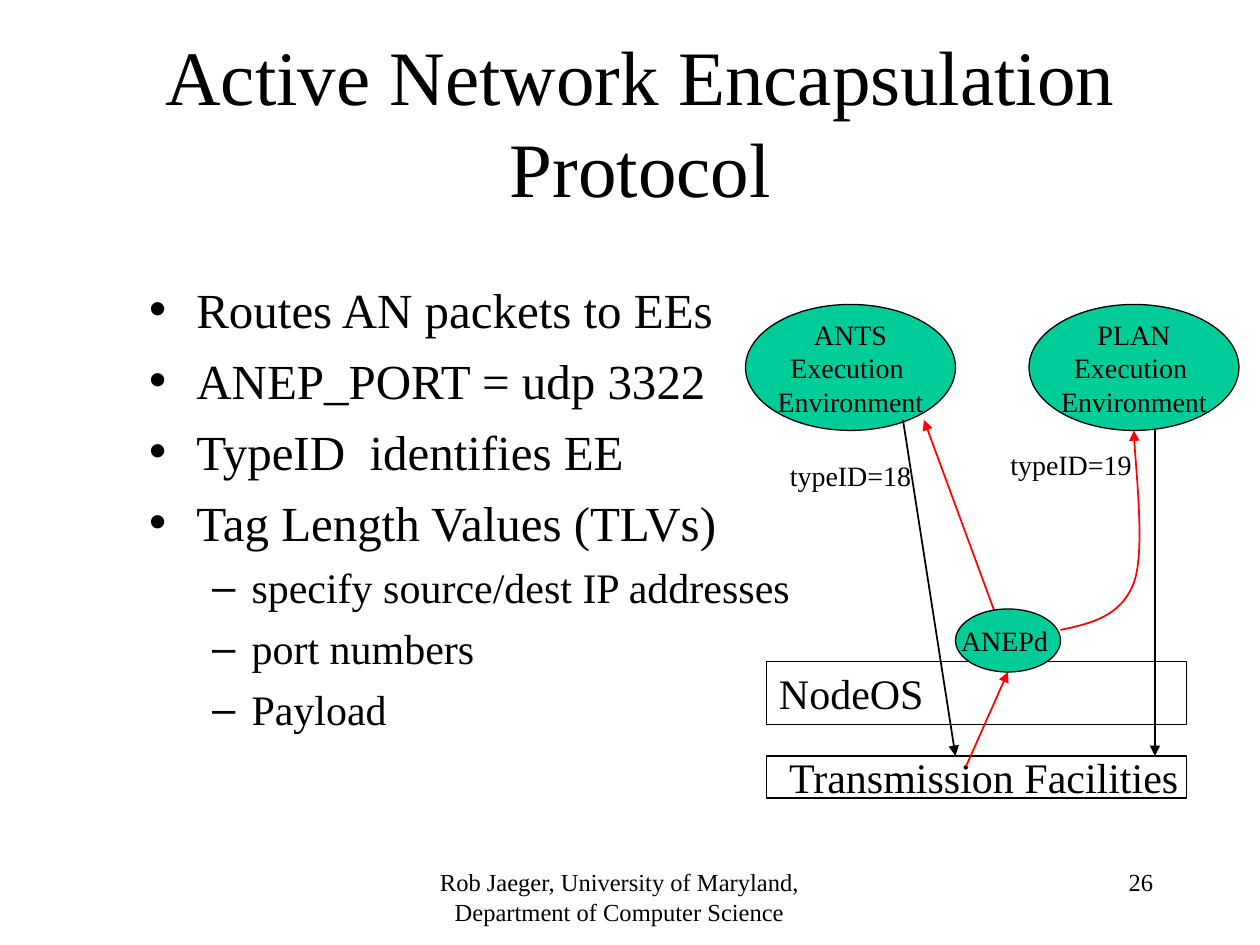
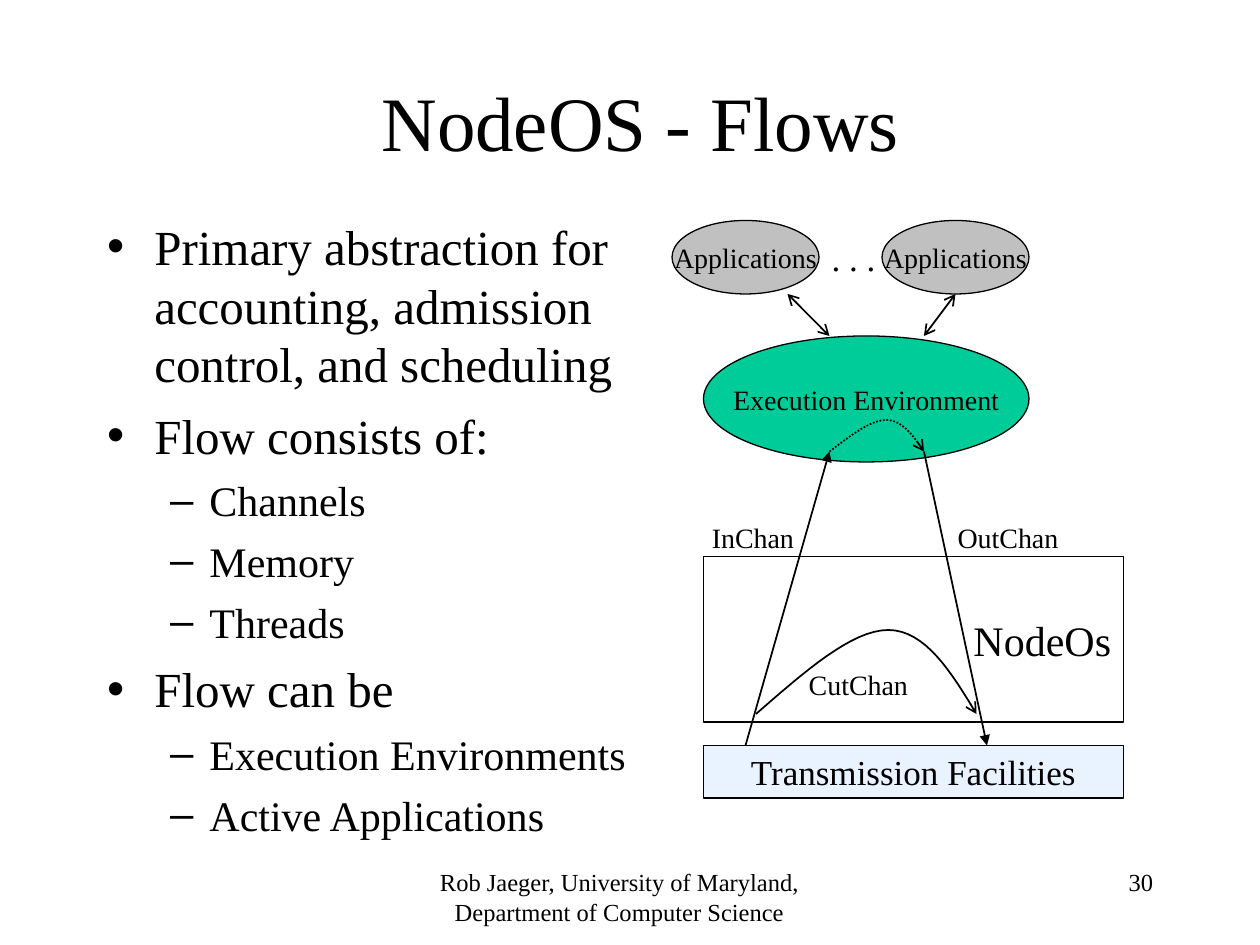
from pptx import Presentation
from pptx.dml.color import RGBColor
from pptx.enum.dml import MSO_LINE
from pptx.enum.shapes import MSO_CONNECTOR, MSO_SHAPE
from pptx.enum.text import MSO_ANCHOR, MSO_AUTO_SIZE, PP_ALIGN
from pptx.oxml.ns import qn
from pptx.util import Inches, Pt
from lxml.etree import SubElement

BLACK = RGBColor(0x00, 0x00, 0x00)
RED = RGBColor(0xFF, 0x00, 0x00)
GREEN = RGBColor(0x00, 0xCC, 0x99)
GREY = RGBColor(0xC0, 0xC0, 0xC0)
PALE_BLUE = RGBColor(0xE9, 0xF2, 0xFF)
FONT = "Times New Roman"
FOOTER = "Rob Jaeger, University of Maryland, Department of Computer Science"
RECT, OVAL = MSO_SHAPE.RECTANGLE, MSO_SHAPE.OVAL
LEFT, CENTER, RIGHT = PP_ALIGN.LEFT, PP_ALIGN.CENTER, PP_ALIGN.RIGHT

deck = Presentation()
deck.slide_width, deck.slide_height = Inches(10), Inches(7.5)
CELL = deck.slide_width / 120


def add_box(page, kind, text, cells, size=16, fill=None, align=CENTER,
            anchor=MSO_ANCHOR.MIDDLE, wrap=False):
    place = [round(cell * CELL) for cell in cells]
    if kind is None:
        box = page.shapes.add_textbox(*place)
    else:
        box = page.shapes.add_shape(kind, *place)
        box.shadow.inherit = False
        box.line.color.rgb = BLACK
        box.line.width = Pt(0.75 if kind == OVAL else 1)
        if fill is None:
            box.fill.background()
        else:
            box.fill.solid()
            box.fill.fore_color.rgb = fill
    frame = box.text_frame
    frame.text = text
    frame.word_wrap = wrap
    frame.vertical_anchor = anchor
    for para in frame.paragraphs:
        para.alignment = align
        for span in para.runs:
            span.font.size = Pt(size)
    return box


def add_arrow(page, cells, color=BLACK, tail="triangle", head=None, dash=None):
    points = [(x * CELL, y * CELL) for x, y in cells]
    if len(points) == 2:
        ends = [round(value) for point in points for value in point]
        arrow = page.shapes.add_connector(MSO_CONNECTOR.STRAIGHT, *ends)
    else:
        curve = []
        for first in range(0, len(points) - 1, 3):
            for step in range(1, 17):
                t = step / 16
                weights = ((1 - t) ** 3, 3 * t * (1 - t) ** 2, 3 * t * t * (1 - t), t ** 3)
                controls = points[first:first + 4]
                curve.append(tuple(sum(w * p[axis] for w, p in zip(weights, controls))
                                   for axis in (0, 1)))
        builder = page.shapes.build_freeform(*points[0], scale=1.0)
        builder.add_line_segments(curve, close=False)
        arrow = builder.convert_to_shape()
        arrow.fill.background()
    arrow.line.color.rgb = color
    arrow.line.width = Pt(1)
    if dash is not None:
        arrow.line.dash_style = dash
    properties = arrow.element.spPr
    outline = properties.find(qn("a:ln"))
    for tag, style in (("a:headEnd", head), ("a:tailEnd", tail)):
        if style:
            SubElement(outline, qn(tag), type=style)
    SubElement(properties, qn("a:effectLst"))


outlines = [
    ("Active Network Encapsulation Protocol", "26", (13, 26, 68, 54), [
        (0, "Routes AN packets to EEs"),
        (0, "ANEP_PORT = udp 3322"),
        (0, "TypeID  identifies EE"),
        (0, "Tag Length Values (TLVs)"),
        (1, "specify source/dest IP addresses"),
        (1, "port numbers"),
        (1, "Payload")]),
    ("NodeOS - Flows", "30", (9, 20, 60, 61), [
        (0, "Primary abstraction for accounting, admission control, and scheduling"),
        (0, "Flow consists of:"),
        (1, "Channels"),
        (1, "Memory"),
        (1, "Threads"),
        (0, "Flow can be"),
        (1, "Execution Environments"),
        (1, "Active Applications")]),
]
for title, number, body_cells, bullets in outlines:
    page = deck.slides.add_slide(deck.slide_layouts[1])
    heading, body = page.placeholders
    for holder, cells in ((heading, (10, 4, 102, 15)), (body, body_cells)):
        holder.left, holder.top, holder.width, holder.height = [
            round(cell * CELL) for cell in cells]
        holder.text_frame.auto_size = MSO_AUTO_SIZE.NONE
    heading.text_frame.text = title
    heading.text_frame.vertical_anchor = MSO_ANCHOR.MIDDLE
    heading.text_frame.paragraphs[0].alignment = CENTER
    heading.text_frame.paragraphs[0].runs[0].font.size = Pt(44)
    body.text_frame.text = "\n".join(text for level, text in bullets)
    for row, (level, text) in enumerate(bullets):
        para = body.text_frame.paragraphs[row]
        para.level = level
        para.space_before = Pt((7, 6)[level] if row else 0)
        para.runs[0].font.size = Pt((28, 24)[level])
    for text, cells, align in ((FOOTER, (36, 82, 46, 6), CENTER),
                               (number, (86, 82, 25, 6), RIGHT)):
        add_box(page, None, text, cells, 14, align=align, anchor=MSO_ANCHOR.TOP, wrap=True)

protocol_page, flows_page = deck.slides

add_box(protocol_page, RECT, "NodeOS", (73, 63, 40, 6), 24, align=LEFT)
facilities = add_box(protocol_page, RECT, "Transmission Facilities", (73, 72, 40, 4), 24,
                     align=LEFT)
facilities.text_frame.margin_left = Inches(0.18)
for name, column in (("ANTS", 71), ("PLAN", 98)):
    add_box(protocol_page, OVAL, f"{name}\nExecution \nEnvironment", (column, 29, 20, 12),
            fill=GREEN)
add_box(protocol_page, None, "typeID=18", (73, 43.1, 16, 4.3))
add_box(protocol_page, None, "typeID=19", (94, 42.1, 16, 4.3))
for cells, color in (
        ([(95, 59), (88, 40)], RED),
        ([(86, 40), (91, 72)], BLACK),
        ([(110, 41), (110, 72)], BLACK),
        ([(92, 73), (96, 64)], RED),
        ([(101, 60), (103.9, 59.4), (106.8, 58.7), (108, 55.5),
          (109.2, 52.3), (108, 43.4), (108, 41)], RED)):
    add_arrow(protocol_page, cells, color)
add_box(protocol_page, OVAL, "ANEPd ", (91, 58, 10, 6), fill=GREEN)

add_box(flows_page, RECT, "NodeOs", (67, 53, 40, 15.8), 24, align=RIGHT)
add_box(flows_page, RECT, "Transmission Facilities", (67, 71, 40, 5), 20, PALE_BLUE)
add_box(flows_page, OVAL, "Execution Environment", (67, 32, 31, 12), fill=GREEN)
for column in (64, 84):
    add_box(flows_page, OVAL, "Applications", (column, 21, 14, 7), fill=GREY)
add_box(flows_page, None, ". . .", (78, 20, 6.6, 9.1), 20)
for label, cells in (("CutChan", (75.8, 63, 11.9, 4.3)),
                     ("OutChan", (90, 49, 12, 4.3)),
                     ("InChan", (66.6, 49, 10.2, 4.3))):
    add_box(flows_page, None, label, cells)
for cells in ([(71, 71), (79, 43)], [(88, 43), (94, 71)]):
    add_arrow(flows_page, cells)
for cells in ([(75, 28), (79, 32)], [(91, 28), (88, 32)]):
    add_arrow(flows_page, cells, tail="arrow", head="arrow")
add_arrow(flows_page, [(79, 43), (81, 41.5), (82.9, 40), (84.4, 40),
                       (85.9, 40), (87, 41.5), (88, 43)],
          tail="arrow", dash=MSO_LINE.ROUND_DOT)
add_arrow(flows_page, [(72, 68), (76.6, 64), (81.1, 60), (84.6, 60),
                       (88.1, 60), (90.6, 64), (93, 68)], tail="arrow")

for page in deck.slides:
    for box in page.shapes:
        if box.has_text_frame:
            for para in box.text_frame.paragraphs:
                for span in para.runs:
                    span.font.name = FONT
                    span.font.color.rgb = BLACK

deck.save("out.pptx")
